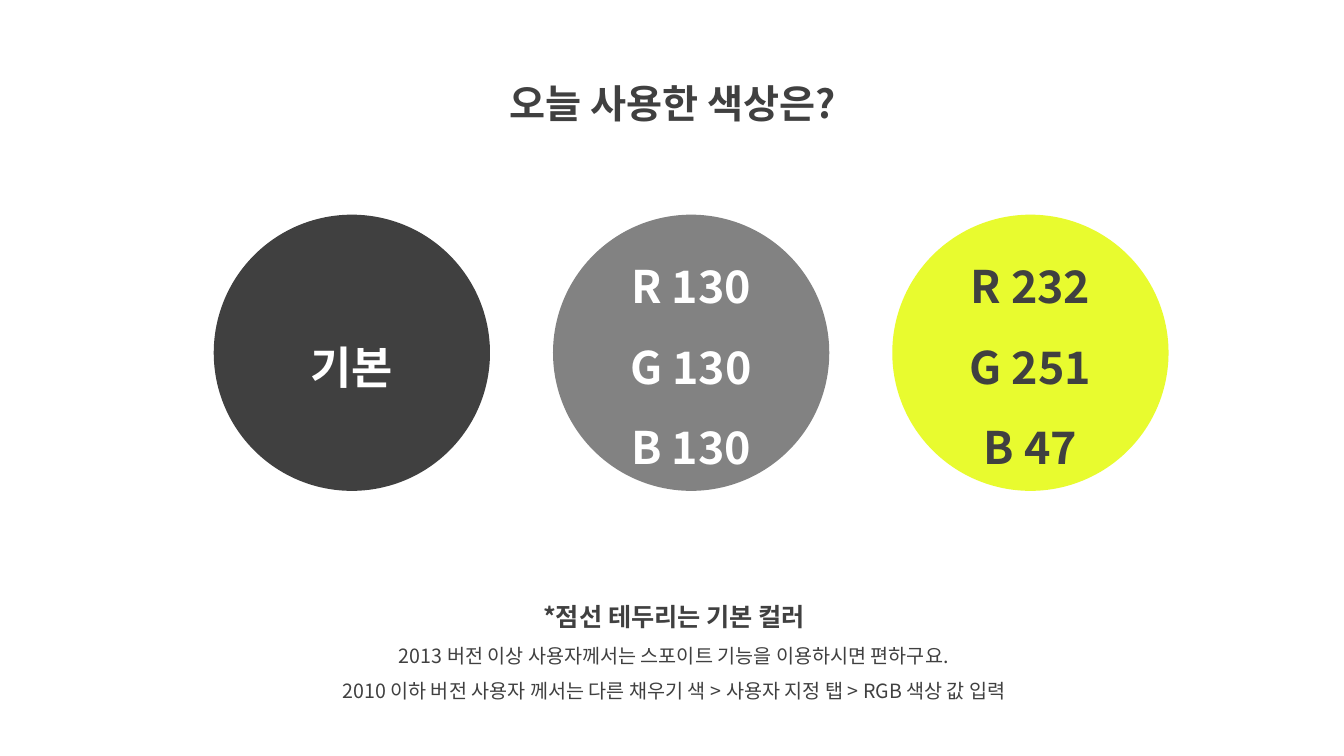
import pptx
import pptx.dml.color
import pptx.enum.shapes
import pptx.enum.text
import pptx.oxml
import pptx.oxml.ns
import pptx.util
from pptx.util import Inches

FONT = "Noto Sans CJK KR"
DARK, GRAY, LIME, WHITE = "404040", "828282", "E8FB2F", "FFFFFF"


def color(value):
    return pptx.dml.color.RGBColor.from_string(value)


def write_lines(tf, lines, font_color):
    tf.word_wrap = True
    for i, (text, size, bold) in enumerate(lines):
        p = tf.paragraphs[0] if i == 0 else tf.add_paragraph()
        p.text = text
        p.alignment = pptx.enum.text.PP_ALIGN.CENTER
        p.line_spacing = 1.5
        r = p.runs[0]
        r.font.size = pptx.util.Pt(size)
        r.font.bold = bold
        r.font.name = FONT
        r.font.color.rgb = color(font_color)
        ea = pptx.oxml.parse_xml(
            f'<a:ea {pptx.oxml.ns.nsdecls("a")} typeface="{FONT}"/>')
        r.font._element.find(pptx.oxml.ns.qn("a:latin")).addnext(ea)


def add_text(s, left, top, width, height, lines):
    tf = s.shapes.add_textbox(left, top, width, height).text_frame
    write_lines(tf, lines, DARK)
    tf.auto_size = pptx.enum.text.MSO_AUTO_SIZE.SHAPE_TO_FIT_TEXT


def add_swatches(s, left, top, width, height, swatches):
    pitch = (width - height) / (len(swatches) - 1)
    for i, (fill, font_color, labels) in enumerate(swatches):
        sp = s.shapes.add_shape(pptx.enum.shapes.MSO_SHAPE.OVAL,
                                int(left + i * pitch), top, height, height)
        sp.shadow.inherit = False
        sp.fill.solid()
        sp.fill.fore_color.rgb = color(fill)
        sp.line.fill.background()
        sp.text_frame.vertical_anchor = pptx.enum.text.MSO_ANCHOR.MIDDLE
        write_lines(sp.text_frame, [(t, 32, True) for t in labels], font_color)


def main():
    prs = pptx.Presentation()
    prs.slide_width, prs.slide_height = Inches(13.33), Inches(7.5)
    s = prs.slides.add_slide(prs.slide_layouts[6])
    add_text(s, Inches(4.36), Inches(0.5), Inches(4.63), Inches(0.72),
             [("오늘 사용한 색상은?", 28, True)])
    add_swatches(s, Inches(2.12), Inches(2.13), Inches(9.47), Inches(2.74), [
        (DARK, WHITE, ["기본"]),
        (GRAY, WHITE, ["R 130", "G 130", "B 130"]),
        (LIME, DARK, ["R 232", "G 251", "B 47"]),
    ])
    add_text(s, Inches(2.69), Inches(5.77), Inches(7.99), Inches(1.26), [
        ("*점선 테두리는 기본 컬러", 18, True),
        ("2013 버전 이상 사용자께서는 스포이트 기능을 이용하시면 편하구요.", 14, False),
        ("2010 이하 버전 사용자 께서는 다른 채우기 색 > 사용자 지정 탭 > RGB 색상 값 입력",
         14, False),
    ])
    prs.save("out.pptx")


if __name__ == "__main__":
    main()
